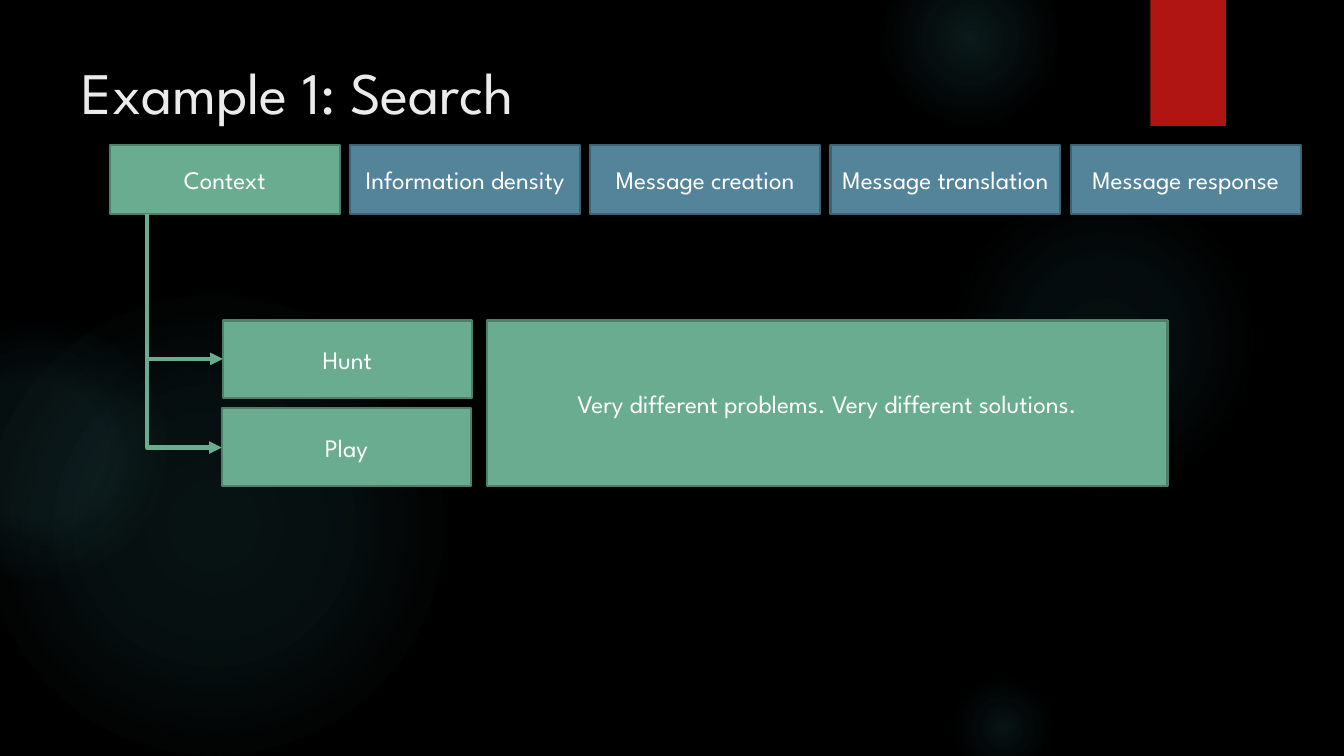
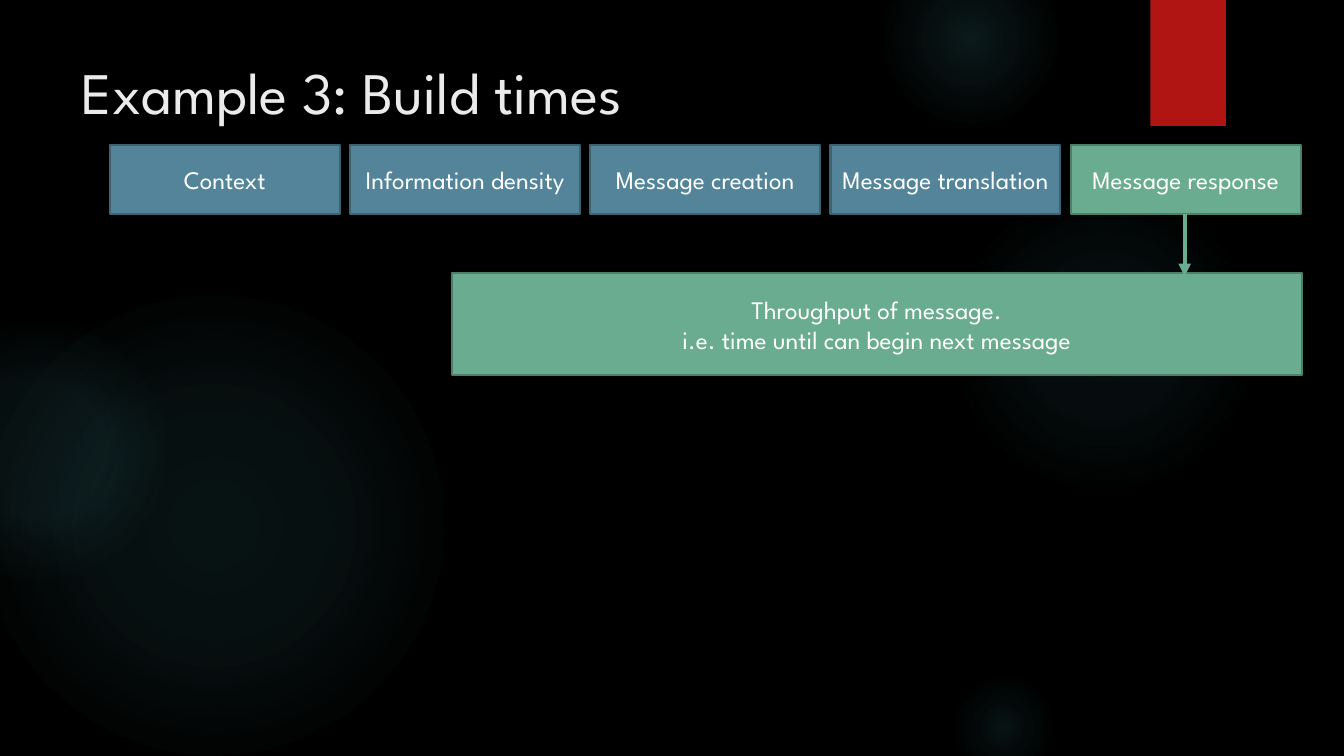
from lxml import etree
from pptx import Presentation
from pptx.dml.color import RGBColor
from pptx.enum.shapes import MSO_CONNECTOR, MSO_SHAPE
from pptx.enum.text import MSO_ANCHOR, PP_ALIGN
from pptx.oxml import parse_xml
from pptx.oxml.ns import nsdecls, qn
from pptx.util import Emu, Pt

RECT, OVAL = MSO_SHAPE.RECTANGLE, MSO_SHAPE.OVAL
STRAIGHT, ELBOW = MSO_CONNECTOR.STRAIGHT, MSO_CONNECTOR.ELBOW
TOP, MIDDLE = MSO_ANCHOR.TOP, MSO_ANCHOR.MIDDLE
LEFT, CENTER = PP_ALIGN.LEFT, PP_ALIGN.CENTER

PX = 9144
FONT = "League Spartan"
BLACK, WHITE, TITLE, RED, GLOW = "000000", "FFFFFF", "EBEBEB", "B01513", "50B9C1"
GREEN = ("6AAC90", "4E7F6B")
BLUE = ("54849A", "3E6272")

GLOWS = [
    (-17, 292, 458, [(0, 10), (36, 8), (75, 0)]),
    (-92, 317, 258, [(0, 8), (36, 8), (72, 0)]),
    (941, 183, 308, [(0, 7), (36, 6), (69, 0)]),
    (875, -50, 175, [(0, 14), (36, 7), (73, 0)]),
    (941, 667, 108, [(0, 11), (30, 5), (67, 0)]),
]
STAGES = ["Context", "Information density", "Message creation",
          "Message translation", "Message response"]
STAGE_FIRST, STAGE_LAST = 109, 1062
STAGE_TOP, STAGE_W, STAGE_H = 144, 228, 68
STAGE_BOTTOM = STAGE_TOP + STAGE_H

SLIDES = [
    {"title": "Example 1: Search", "active": "Context",
     "boxes": [("Hunt", 221, 318, 247, 77),
               ("Play", 220, 405, 247, 77),
               ("Very different problems. Very different solutions.", 483, 318, 675, 164)],
     "elbows": [(146, 221, 356), (146, 220, 444)],
     "arrows": []},
    {"title": "Example 3: Build times", "active": "Message response",
     "boxes": [("Throughput of message.\ni.e. time until can begin next message",
                448, 271, 843, 101)],
     "elbows": [],
     "arrows": [(1175, 274)]},
]


def px(*values):
    return [Emu(round(v * PX)) for v in values]


def rgb(color):
    return RGBColor.from_string(color)


def write(shape, text, size=18, color=WHITE, align=CENTER, anchor=MIDDLE):
    tf = shape.text_frame
    tf.word_wrap = True
    tf.vertical_anchor = anchor
    for i, line in enumerate(text.split("\n")):
        p = tf.paragraphs[0] if i == 0 else tf.add_paragraph()
        p.alignment = align
        r = p.add_run()
        r.text = line
        r.font.name, r.font.size = FONT, Pt(size)
        r.font.color.rgb = rgb(color)


def add_rect(s, x, y, w, h, fill, edge=None):
    sp = s.shapes.add_shape(RECT, *px(x, y, w, h))
    sp.shadow.inherit = False
    sp.fill.solid()
    sp.fill.fore_color.rgb = rgb(fill)
    if edge:
        sp.line.color.rgb = rgb(edge)
        sp.line.width = Pt(1.5)
    else:
        sp.line.fill.background()
    return sp


def add_box(s, text, x, y, w, h, colors=GREEN):
    write(add_rect(s, x, y, w, h, *colors), text)


def add_glow(s, x, y, size, stops):
    sp = s.shapes.add_shape(OVAL, *px(x, y, size, size))
    sp.shadow.inherit = False
    sp.line.fill.background()
    gs = "".join(
        f'<a:gs pos="{pos * 1000}"><a:srgbClr val="{GLOW}">'
        f'<a:alpha val="{alpha * 1000}"/></a:srgbClr></a:gs>' for pos, alpha in stops)
    grad = parse_xml(
        f'<a:gradFill {nsdecls("a")} rotWithShape="1"><a:gsLst>{gs}</a:gsLst>'
        '<a:path path="circle"><a:fillToRect l="50000" t="50000" r="50000" b="50000"/>'
        '</a:path></a:gradFill>')
    sp._element.spPr.find(qn("a:prstGeom")).addnext(grad)


def add_arrow(s, kind, x1, y1, x2, y2):
    c = s.shapes.add_connector(kind, *px(x1, y1, x2, y2))
    c.line.color.rgb = rgb(GREEN[0])
    c.line.width = Pt(3)
    etree.SubElement(c.line._get_or_add_ln(), qn("a:tailEnd"), type="triangle")
    etree.SubElement(c._element.spPr, qn("a:effectLst"))
    return c


def add_elbow(s, x1, y1, x2, y2):
    w, h = y2 - y1, x2 - x1
    x, y = (x1 + x2 - w) / 2, (y1 + y2 - h) / 2
    spPr = add_arrow(s, ELBOW, x, y, x + w, y + h)._element.spPr
    spPr.find(qn("a:prstGeom")).set("prst", "bentConnector2")
    xfrm = spPr.find(qn("a:xfrm"))
    xfrm.set("rot", "16200000")
    xfrm.set("flipH", "1")


def add_frame(s, title):
    s.background.fill.solid()
    s.background.fill.fore_color.rgb = rgb(BLACK)
    for glow in GLOWS:
        add_glow(s, *glow)
    add_rect(s, 1141, 0, 75, 125, RED)
    tb = s.shapes.add_textbox(*px(71, 50, 1029, 153))
    write(tb, title, size=42, color=TITLE, align=LEFT, anchor=TOP)


def add_stages(s, active):
    pitch = (STAGE_LAST - STAGE_FIRST) / (len(STAGES) - 1)
    for i, stage in enumerate(STAGES):
        add_box(s, stage, STAGE_FIRST + i * pitch, STAGE_TOP, STAGE_W, STAGE_H,
                GREEN if stage == active else BLUE)


def main():
    prs = Presentation()
    prs.slide_width, prs.slide_height = px(1333, 750)
    for content in SLIDES:
        s = prs.slides.add_slide(prs.slide_layouts[6])
        add_frame(s, content["title"])
        add_stages(s, content["active"])
        for box in content["boxes"]:
            add_box(s, *box)
        for x1, x2, y2 in content["elbows"]:
            add_elbow(s, x1, STAGE_BOTTOM, x2, y2)
        for x, y2 in content["arrows"]:
            add_arrow(s, STRAIGHT, x, STAGE_BOTTOM, x, y2)
    prs.save("out.pptx")


if __name__ == "__main__":
    main()
